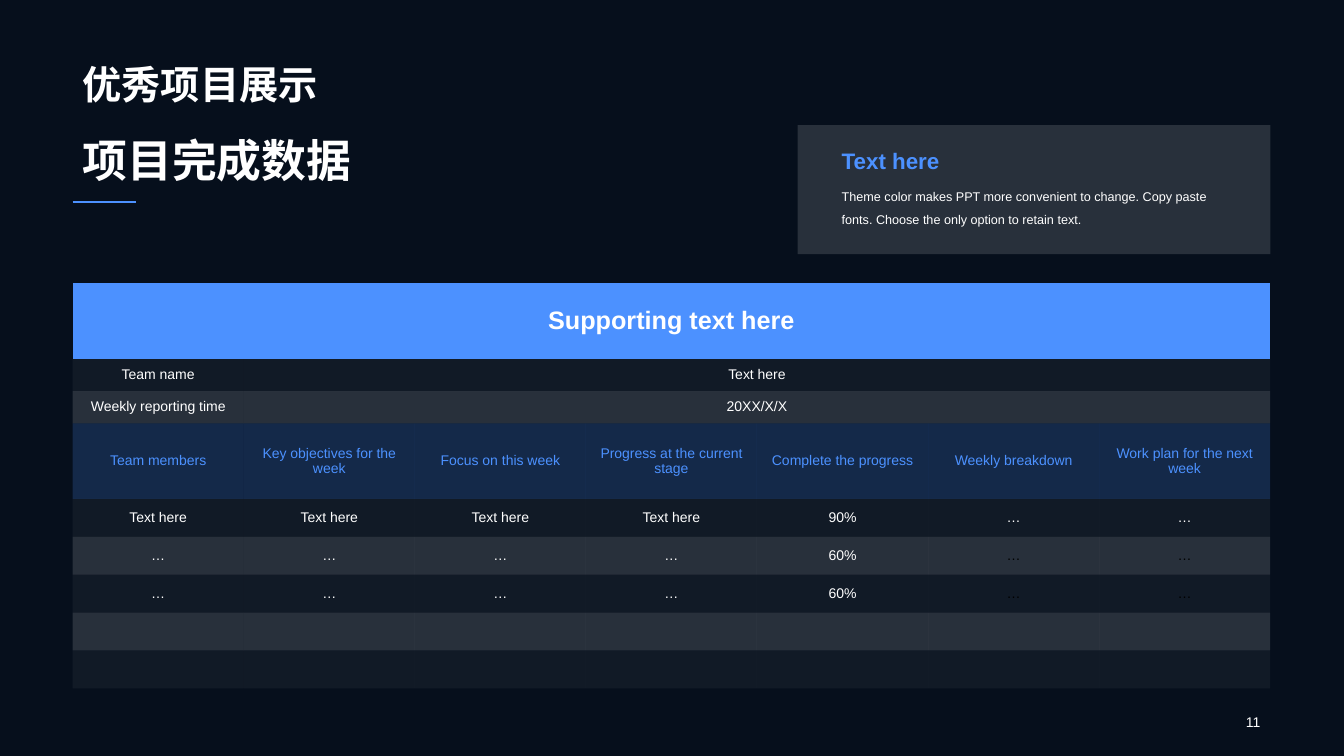
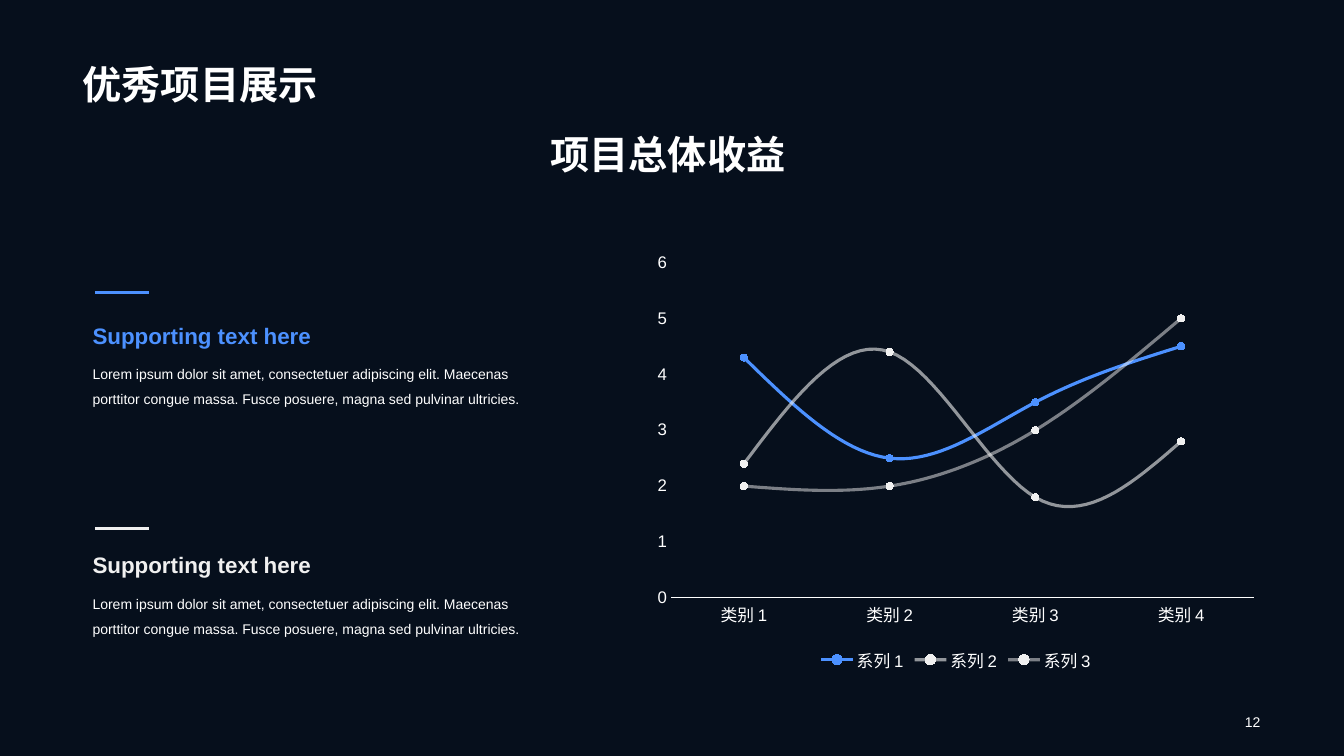
from dataclasses import dataclass
from typing import Optional

from lxml.etree import SubElement
from pptx import Presentation
from pptx.chart.data import CategoryChartData
from pptx.dml.color import RGBColor
from pptx.enum.chart import XL_CHART_TYPE, XL_LEGEND_POSITION, XL_MARKER_STYLE, XL_TICK_MARK
from pptx.enum.shapes import MSO_CONNECTOR, MSO_SHAPE
from pptx.enum.text import MSO_ANCHOR, MSO_AUTO_SIZE, PP_ALIGN
from pptx.oxml.ns import qn
from pptx.util import Inches, Pt

NAVY = RGBColor(0x06, 0x0F, 0x1C)
BLUE = RGBColor(0x4C, 0x91, 0xFF)
WHITE = RGBColor(0xFF, 0xFF, 0xFF)
PALE = RGBColor(0xF0, 0xF0, 0xF0)
BLACK = RGBColor(0x00, 0x00, 0x00)
FONT = "Arial"
LEFT = 0.72
NO_GRID_STYLE = "{2D5ABB26-0587-4C30-8999-92F81FD0307C}"


@dataclass
class Box:
    x: float
    y: float
    w: float
    h: float

    def emu(self) -> tuple:
        return Inches(self.x), Inches(self.y), Inches(self.w), Inches(self.h)


@dataclass
class Style:
    size: float
    color: RGBColor = WHITE
    bold: bool = False
    align: PP_ALIGN = PP_ALIGN.LEFT
    spacing: Optional[float] = None


@dataclass
class Row:
    cells: list
    height: float
    fill: RGBColor
    opacity: int
    style: Style
    merge_from: Optional[int] = None
    dark_from: int = 7


@dataclass
class Note:
    rule_y: float
    head_y: float
    body_y: float
    color: RGBColor


@dataclass
class Series:
    name: str
    values: tuple
    color: RGBColor
    opacity: int


def set_opacity(element, percent: int) -> None:
    if percent < 100:
        color = element.find(".//" + qn("a:srgbClr"))
        SubElement(color, qn("a:alpha")).set("val", str(percent * 1000))


def format_font(font, style: Style) -> None:
    font.name = FONT
    font.size = Pt(style.size)
    font.bold = style.bold
    font.color.rgb = style.color


def write(tf, text: str, style: Style) -> None:
    tf.text = text
    p = tf.paragraphs[0]
    p.alignment = style.align
    if style.spacing:
        p.line_spacing = style.spacing
    for r in p.runs:
        format_font(r.font, style)


def add_text(s, box: Box, text: str, style: Style,
             anchor=MSO_ANCHOR.TOP, grow: bool = True) -> None:
    tf = s.shapes.add_textbox(*box.emu()).text_frame
    tf.word_wrap = True
    tf.auto_size = MSO_AUTO_SIZE.SHAPE_TO_FIT_TEXT if grow else MSO_AUTO_SIZE.NONE
    tf.vertical_anchor = anchor
    write(tf, text, style)


def add_rule(s, x: float, y: float, length: float, color: RGBColor, weight: float) -> None:
    line = s.shapes.add_connector(MSO_CONNECTOR.STRAIGHT, Inches(x), Inches(y),
                                  Inches(x + length), Inches(y))
    line.line.color.rgb = color
    line.line.width = Pt(weight)
    SubElement(line._element.spPr, qn("a:effectLst"))


def add_slide(prs, number: int):
    s = prs.slides.add_slide(prs.slide_layouts[5])
    title = s.shapes.title
    title.left, title.top, title.width, title.height = Box(LEFT, 0, 11.88, 1.12).emu()
    tf = title.text_frame
    tf.word_wrap = True
    tf.auto_size = MSO_AUTO_SIZE.NONE
    tf.vertical_anchor = MSO_ANCHOR.BOTTOM
    write(tf, "优秀项目展示", Style(28, bold=True, spacing=0.9))
    add_text(s, Box(9.69, 7.04, 2.91, 0.24), str(number),
             Style(10, align=PP_ALIGN.RIGHT), MSO_ANCHOR.MIDDLE, grow=False)
    return s


def add_report_table(s, box: Box, rows: list) -> None:
    columns = 7
    frame = s.shapes.add_table(len(rows), columns, *box.emu())
    table = frame.table
    table.first_row = table.horz_banding = False
    table._tbl.tblPr.find(qn("a:tableStyleId")).text = NO_GRID_STYLE
    for column in table.columns:
        column.width = Inches(box.w / columns)
    for i, row in enumerate(rows):
        table.rows[i].height = Inches(row.height)
        for j in range(columns):
            cell = table.cell(i, j)
            cell.margin_left = cell.margin_right = Inches(0.03)
            cell.margin_top = cell.margin_bottom = Inches(0.02)
            cell.vertical_anchor = MSO_ANCHOR.MIDDLE
            cell.fill.solid()
            cell.fill.fore_color.rgb = row.fill
            set_opacity(cell._tc, row.opacity)
        if row.merge_from is not None:
            table.cell(i, row.merge_from).merge(table.cell(i, columns - 1))
        for j, text in enumerate(row.cells):
            color = BLACK if j >= row.dark_from else row.style.color
            style = Style(row.style.size, color, row.style.bold, PP_ALIGN.CENTER)
            write(table.cell(i, j).text_frame, text, style)


def add_line_chart(s, box: Box, categories: list, series: list) -> None:
    data = CategoryChartData()
    data.categories = categories
    for item in series:
        data.add_series(item.name, item.values)
    chart = s.shapes.add_chart(XL_CHART_TYPE.LINE_MARKERS, *box.emu(), data).chart
    chart.has_title = False
    format_font(chart.font, Style(10))
    chart.has_legend = True
    chart.legend.position = XL_LEGEND_POSITION.BOTTOM
    chart.legend.include_in_layout = False
    format_font(chart.legend.font, Style(12))
    for axis in (chart.category_axis, chart.value_axis):
        axis.has_major_gridlines = False
        axis.major_tick_mark = axis.minor_tick_mark = XL_TICK_MARK.NONE
        format_font(axis.tick_labels.font, Style(12))
    chart.category_axis.format.line.color.rgb = WHITE
    chart.category_axis.format.line.width = Pt(0.75)
    value_axis = chart.value_axis
    value_axis.format.line.fill.background()
    value_axis.minimum_scale, value_axis.maximum_scale, value_axis.major_unit = 0, 6, 1
    plot = chart.plots[0]
    plot.vary_by_categories = False
    for item, ser in zip(series, plot.series):
        ser.smooth = True
        ser.format.line.color.rgb = item.color
        ser.format.line.width = Pt(2.25)
        set_opacity(ser._element, item.opacity)
        ser.marker.style = XL_MARKER_STYLE.CIRCLE
        ser.marker.size = 5
        ser.marker.format.fill.solid()
        ser.marker.format.fill.fore_color.rgb = item.color
        ser.marker.format.line.fill.background()


def build_report(prs) -> None:
    s = add_slide(prs, 11)
    plain = Style(10)
    blank_height = 0.376
    rows = [
        Row(["Supporting text here"], 0.75, BLUE, 100, Style(18, bold=True), 0),
        Row(["Team name", "Text here"], 0.32, PALE, 5, plain, 1),
        Row(["Weekly reporting time", "20XX/X/X"], 0.32, PALE, 15, plain, 1),
        Row(["Team members", "Key objectives for the week", "Focus on this week",
             "Progress at the current stage", "Complete the progress",
             "Weekly breakdown", "Work plan for the next week"],
            0.75, BLUE, 20, Style(10, BLUE)),
        Row(["Text here"] * 4 + ["90%", "…", "…"], blank_height, PALE, 5, plain),
    ]
    pending = ["…"] * 4 + ["60%", "…", "…"]
    for cells, opacity in ((pending, 15), (pending, 5), ([], 15), ([], 5)):
        rows.append(Row(cells, blank_height, PALE, opacity, plain, dark_from=5))
    add_report_table(s, Box(LEFT, 2.81, 11.88, 4.02), rows)

    panel = s.shapes.add_shape(MSO_SHAPE.ROUNDED_RECTANGLE, *Box(7.91, 1.24, 4.69, 1.28).emu())
    panel.adjustments[0] = 0
    panel.shadow.inherit = False
    panel.fill.solid()
    panel.fill.fore_color.rgb = PALE
    set_opacity(panel._element.spPr, 15)
    panel.line.fill.background()
    add_text(s, Box(8.25, 1.41, 4.01, 0.3), "Text here", Style(16, BLUE, True))
    add_text(s, Box(8.25, 1.75, 4.01, 0.62),
             "Theme color makes PPT more convenient to change. Copy paste fonts. "
             "Choose the only option to retain text.", Style(9, spacing=1.5))
    add_text(s, Box(LEFT, 1.26, 4.7, 0.64), "项目完成数据", Style(32, bold=True),
             MSO_ANCHOR.BOTTOM)
    add_rule(s, LEFT, 2, 0.63, BLUE, 1.5)


def build_income(prs) -> None:
    s = add_slide(prs, 12)
    add_text(s, Box(0.75, 1.24, 11.75, 0.57), "项目总体收益",
             Style(28, bold=True, align=PP_ALIGN.CENTER), MSO_ANCHOR.BOTTOM)
    for note in (Note(2.9, 3.14, 3.51, BLUE), Note(5.24, 5.41, 5.79, PALE)):
        add_rule(s, 0.94, note.rule_y, 0.54, note.color, 2)
        add_text(s, Box(0.82, note.head_y, 4.9, 0.37), "Supporting text here",
                 Style(16, note.color, True), MSO_ANCHOR.BOTTOM)
        add_text(s, Box(0.82, note.body_y, 4.6, 0.58),
                 "Lorem ipsum dolor sit amet, consectetuer adipiscing elit. Maecenas "
                 "porttitor congue massa. Fusce posuere, magna sed pulvinar ultricies.",
                 Style(10, spacing=1.5), MSO_ANCHOR.BOTTOM)
    add_line_chart(s, Box(6.4, 2.43, 6.16, 4.28),
                   [f"类别 {n}" for n in range(1, 5)],
                   [Series("系列 1", (4.3, 2.5, 3.5, 4.5), BLUE, 100),
                    Series("系列 2", (2.4, 4.4, 1.8, 2.8), PALE, 60),
                    Series("系列 3", (2, 2, 3, 5), PALE, 50)])


def main() -> None:
    prs = Presentation()
    prs.slide_width, prs.slide_height = Inches(13.33), Inches(7.5)
    background = prs.slide_master.background.fill
    background.solid()
    background.fore_color.rgb = NAVY
    build_report(prs)
    build_income(prs)
    prs.save("out.pptx")


if __name__ == "__main__":
    main()
